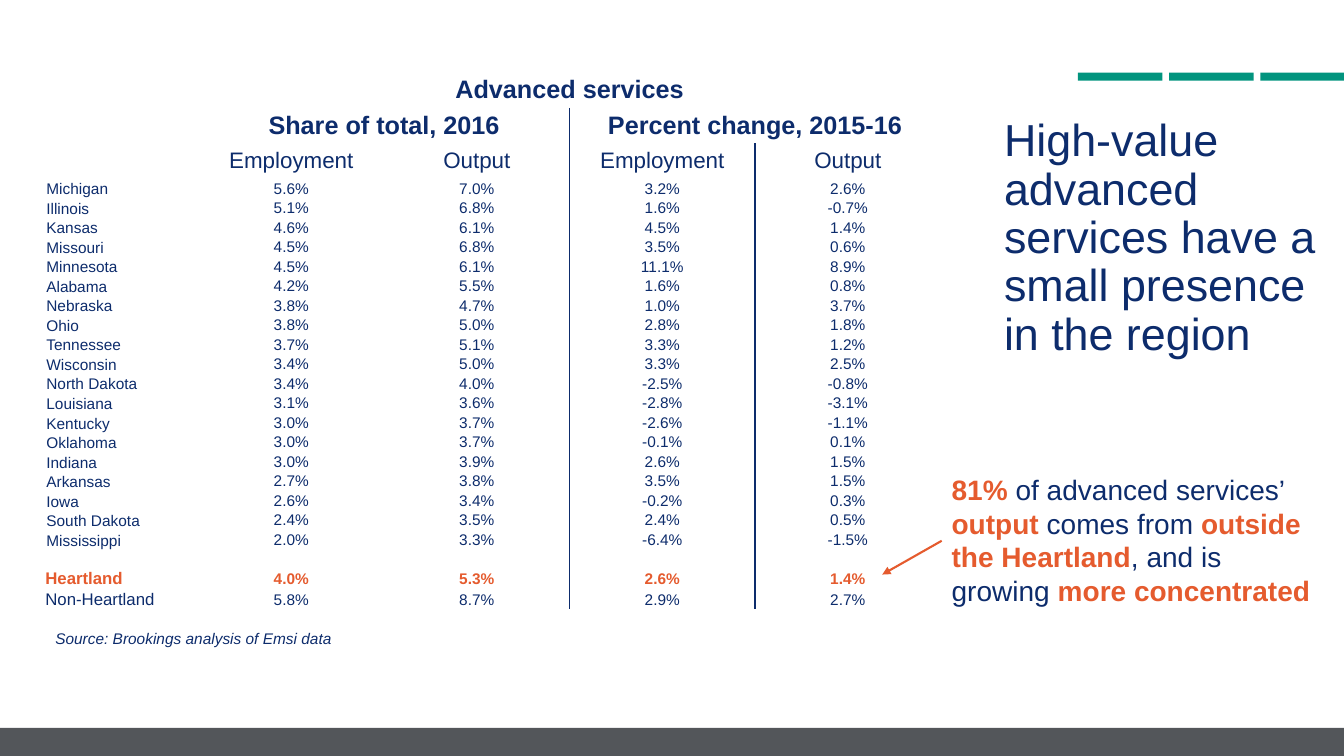
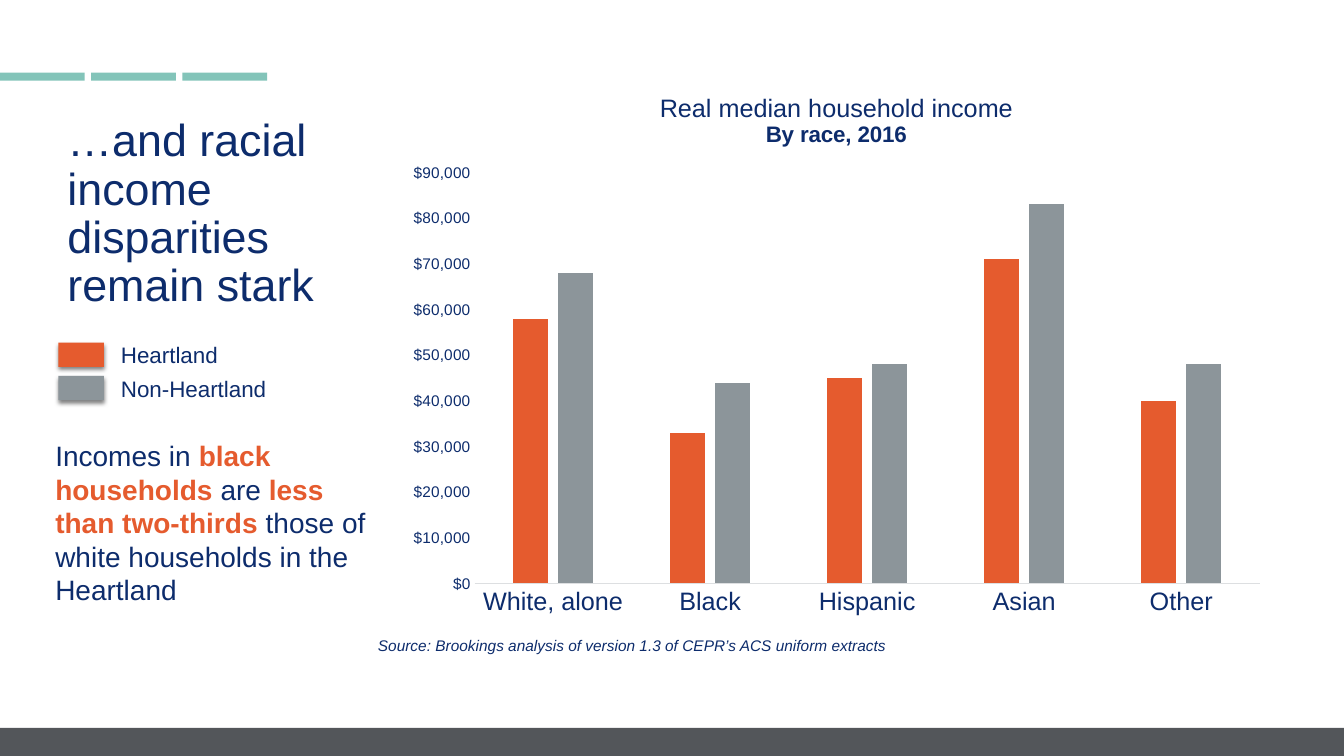
from dataclasses import dataclass

from lxml import etree
from pptx import Presentation
from pptx.chart.data import CategoryChartData
from pptx.dml.color import RGBColor
from pptx.enum.chart import XL_CHART_TYPE as ChartType, XL_TICK_MARK as Tick
from pptx.enum.shapes import MSO_CONNECTOR as Connector, MSO_SHAPE as Shape
from pptx.enum.text import MSO_ANCHOR as Anchor, PP_ALIGN as Align
from pptx.oxml import parse_xml
from pptx.oxml.ns import nsdecls, qn
from pptx.util import Inches, Pt


@dataclass(frozen=True)
class Theme:
    """Colours, font and type sizes shared by the slides."""
    font: str = "Arial"
    navy: str = "0D2C6C"
    orange: str = "E55B2E"
    gray: str = "8C959A"
    footer: str = "53565A"
    green: str = "02947E"
    mint: str = "83C4B9"
    axis: str = "DDDFE1"
    title: int = 32
    callout: int = 20
    heading: int = 18
    subheading: int = 16
    row_label: int = 12
    small: int = 11


THEME = Theme()
NO_TABLE_STYLE = "{2D5ABB26-0587-4C30-8999-92F81FD0307C}"

STATES = [
    ("Michigan", "5.6%", "7.0%", "3.2%", "2.6%"),
    ("Illinois", "5.1%", "6.8%", "1.6%", "-0.7%"),
    ("Kansas", "4.6%", "6.1%", "4.5%", "1.4%"),
    ("Missouri", "4.5%", "6.8%", "3.5%", "0.6%"),
    ("Minnesota", "4.5%", "6.1%", "11.1%", "8.9%"),
    ("Alabama", "4.2%", "5.5%", "1.6%", "0.8%"),
    ("Nebraska", "3.8%", "4.7%", "1.0%", "3.7%"),
    ("Ohio", "3.8%", "5.0%", "2.8%", "1.8%"),
    ("Tennessee", "3.7%", "5.1%", "3.3%", "1.2%"),
    ("Wisconsin", "3.4%", "5.0%", "3.3%", "2.5%"),
    ("North Dakota", "3.4%", "4.0%", "-2.5%", "-0.8%"),
    ("Louisiana", "3.1%", "3.6%", "-2.8%", "-3.1%"),
    ("Kentucky", "3.0%", "3.7%", "-2.6%", "-1.1%"),
    ("Oklahoma", "3.0%", "3.7%", "-0.1%", "0.1%"),
    ("Indiana", "3.0%", "3.9%", "2.6%", "1.5%"),
    ("Arkansas", "2.7%", "3.8%", "3.5%", "1.5%"),
    ("Iowa", "2.6%", "3.4%", "-0.2%", "0.3%"),
    ("South Dakota", "2.4%", "3.5%", "2.4%", "0.5%"),
    ("Mississippi", "2.0%", "3.3%", "-6.4%", "-1.5%"),
]
REGIONS = [
    ("Heartland", "4.0%", "5.3%", "2.6%", "1.4%"),
    ("Non-Heartland", "5.8%", "8.7%", "2.9%", "2.7%"),
]
HEADINGS = [
    ("", "Advanced services", "", "", ""),
    ("", "Share of total, 2016", "", "Percent change, 2015-16", ""),
    ("", "Employment", "Output", "Employment", "Output"),
]
INCOME_GROUPS = ["White, alone", "Black", "Hispanic", "Asian", "Other"]
INCOMES = [
    ("Heartland", THEME.orange, (58000, 33000, 45000, 71000, 40000)),
    ("Non-Heartland", THEME.gray, (68000, 44000, 48000, 83000, 48000)),
]


def style_font(font, size, color=THEME.navy, bold=False, italic=False):
    """Apply the theme font with the given size, colour and weight."""
    font.name, font.size = THEME.font, Pt(size)
    font.bold, font.italic = bold, italic
    font.color.rgb = RGBColor.from_string(color)


def add_run(paragraph, text, size, color=THEME.navy, bold=False, italic=False):
    """Append one styled run."""
    run = paragraph.add_run()
    run.text = text
    style_font(run.font, size, color, bold, italic)


def add_textbox(shapes, left, top, width, height):
    """Add a wrapping text box."""
    box = shapes.add_textbox(Inches(left), Inches(top), Inches(width), Inches(height))
    box.text_frame.word_wrap = True
    return box


def add_block(shapes, left, top, width, height, color):
    """Add a plain filled rectangle."""
    block = shapes.add_shape(Shape.RECTANGLE, Inches(left), Inches(top),
                             Inches(width), Inches(height))
    block.fill.solid()
    block.fill.fore_color.rgb = RGBColor.from_string(color)
    block.line.fill.background()
    block.shadow.inherit = False
    return block


def add_framed_slide(prs, title, title_left, strips_left, strips_color):
    """Add a slide with its footer band, accent strips and title."""
    slide = prs.slides.add_slide(prs.slide_layouts[6])
    add_block(slide.shapes, 0, 7.22, 13.33, 0.28, THEME.footer)
    strips = slide.shapes.add_group_shape().shapes
    for i in range(3):
        add_block(strips, strips_left + i * 1.81 / 2, 0.72, 0.84, 0.08, strips_color)
    heading = add_textbox(slide.shapes, title_left, 1.12, 3.35, 2.52)
    paragraph = heading.text_frame.paragraphs[0]
    paragraph.line_spacing = 0.9
    add_run(paragraph, title, THEME.title)
    return slide


def add_source(slide, left, top, text):
    """Add an italic source line."""
    source = add_textbox(slide.shapes, left, top, 6.79, 0.29)
    add_run(source.text_frame.paragraphs[0], text, THEME.small, italic=True)


def add_callout(slide, left, top, width, height, phrases):
    """Add a callout whose odd phrases are stressed in orange."""
    callout = add_textbox(slide.shapes, left, top, width, height)
    for text, stressed in phrases:
        add_run(callout.text_frame.paragraphs[0], text, THEME.callout,
                THEME.orange if stressed else THEME.navy, stressed)
    return callout


def add_arrow(slide, callout, end_left, end_top):
    """Draw an arrow from the left side of a callout."""
    arrow = slide.shapes.add_connector(Connector.STRAIGHT, callout.left, callout.top,
                                       Inches(end_left), Inches(end_top))
    arrow.begin_connect(callout, 1)
    arrow.line.width = Pt(1.5)
    arrow.line.color.rgb = RGBColor.from_string(THEME.orange)
    etree.SubElement(arrow.line._get_or_add_ln(), qn("a:tailEnd"), type="triangle")
    etree.SubElement(arrow._element.spPr, qn("a:effectLst"))


def fill_cell(cell, text, size, color=THEME.navy, bold=False, align=Align.CENTER,
              anchor=Anchor.MIDDLE, inset=0.01):
    """Write one unfilled table cell."""
    cell.fill.background()
    cell.margin_left = cell.margin_right = cell.margin_top = Inches(inset)
    cell.margin_bottom = 0
    cell.vertical_anchor = anchor
    paragraph = cell.text_frame.paragraphs[0]
    paragraph.alignment = align
    if text:
        add_run(paragraph, text, size, color, bold)
    else:
        etree.SubElement(paragraph._p, qn("a:endParaRPr"), sz=str(size * 100))


def add_divider(cell):
    """Draw a navy line on the left edge of a cell."""
    cell._tc.get_or_add_tcPr().insert(0, parse_xml(
        f'<a:lnL {nsdecls("a")} w="12700"><a:solidFill><a:srgbClr val="{THEME.navy}"/>'
        '</a:solidFill></a:lnL>'))


def add_services_table(slide):
    """Add the table of advanced services by state and region."""
    rows = HEADINGS + STATES + [("",) * 5] + REGIONS
    header_height, body_height = 0.35, 4.21 / (len(rows) - len(HEADINGS))
    table = slide.shapes.add_table(len(rows), 5, Inches(0.45), Inches(0.72),
                                   Inches(8.88), Inches(5.26)).table
    table.first_row = table.horz_banding = False
    table._tbl.tblPr.find(qn("a:tableStyleId")).text = NO_TABLE_STYLE
    for column, width in zip(table.columns, [1.52] + [1.84] * 4):
        column.width = Inches(width)
    for r, values in enumerate(rows):
        is_header = r < len(HEADINGS)
        table.rows[r].height = Inches(header_height if is_header else body_height)
        is_heartland = values[0] == "Heartland"
        is_region = values in REGIONS
        color = THEME.orange if is_heartland else THEME.navy
        for c, text in enumerate(values):
            cell = table.cell(r, c)
            if is_header:
                size = THEME.subheading if r == 2 else THEME.heading
                fill_cell(cell, text, size, bold=r < 2, inset=0)
            elif c == 0:
                fill_cell(cell, text, THEME.row_label if is_region else THEME.small,
                          color, is_heartland, Align.LEFT,
                          Anchor.MIDDLE if is_region else Anchor.BOTTOM,
                          0 if is_region else 0.01)
            else:
                fill_cell(cell, text, THEME.small, color, is_heartland)
        if r > 0:
            add_divider(table.cell(r, 3))
    for r, first, last in [(0, 1, 4), (1, 1, 2), (1, 3, 4)]:
        table.cell(r, first).merge(table.cell(r, last))


def add_legend(slide):
    """Add the shadowed colour keys and their labels."""
    legend = slide.shapes.add_group_shape().shapes
    for i, (name, color, _) in enumerate(INCOMES):
        offset = i * 0.33
        key = add_block(legend, 0.58, 3.4 + offset, 0.45, 0.24, color)
        key._element.spPr.find(qn("a:effectLst")).append(parse_xml(
            f'<a:outerShdw {nsdecls("a")} blurRad="38100" dist="25400" dir="5400000">'
            '<a:srgbClr val="000000"><a:alpha val="50000"/></a:srgbClr></a:outerShdw>'))
        frame = add_textbox(legend, 1.14, 3.33 + offset, 2.5, 0.38).text_frame
        frame.margin_left = frame.margin_right = Inches(0.06)
        frame.margin_top = frame.margin_bottom = Inches(0.06)
        frame.vertical_anchor = Anchor.MIDDLE
        add_run(frame.paragraphs[0], name, THEME.subheading)


def set_plot_layout(chart, x, y, w, h):
    """Fix the inner plot area as fractions of the chart."""
    plot_area = chart._chartSpace.chart.plotArea
    for old in plot_area.findall(qn("c:layout")):
        plot_area.remove(old)
    sizes = "".join(f'<c:{tag} val="{value}"/>'
                    for tag, value in zip("xywh", (x, y, w, h)))
    plot_area.insert(0, parse_xml(
        f'<c:layout {nsdecls("c")}><c:manualLayout><c:layoutTarget val="inner"/>'
        f'<c:xMode val="edge"/><c:yMode val="edge"/>{sizes}</c:manualLayout></c:layout>'))


def add_income_chart(slide):
    """Add the column chart of household income by race."""
    income = CategoryChartData(number_format='"$"#,##0')
    income.categories = INCOME_GROUPS
    for name, _, values in INCOMES:
        income.add_series(name, values)
    chart = slide.shapes.add_chart(ChartType.COLUMN_CLUSTERED, Inches(3.92), Inches(0.72),
                                   Inches(8.75), Inches(5.51), income).chart
    style_font(chart.font, THEME.small)
    chart.has_legend = False
    title = chart.chart_title.text_frame
    add_run(title.paragraphs[0], "Real median household income", THEME.heading)
    add_run(title.add_paragraph(), "By race, 2016", THEME.subheading, bold=True)
    chart.chart_title.include_in_layout = False
    set_plot_layout(chart, 0.09, 0.18, 0.89, 0.74)

    plot = chart.plots[0]
    plot.gap_width, plot.overlap = 219, -27
    plot.vary_by_categories = False
    for series, (_, color, _) in zip(plot.series, INCOMES):
        series.format.fill.solid()
        series.format.fill.fore_color.rgb = RGBColor.from_string(color)

    groups, dollars = chart.category_axis, chart.value_axis
    for axis, size in [(groups, THEME.heading), (dollars, THEME.small)]:
        axis.major_tick_mark = axis.minor_tick_mark = Tick.NONE
        axis.has_major_gridlines = False
        style_font(axis.tick_labels.font, size)
    groups.format.line.width = Pt(0.75)
    groups.format.line.color.rgb = RGBColor.from_string(THEME.axis)
    dollars.format.line.fill.background()
    dollars.minimum_scale, dollars.maximum_scale, dollars.major_unit = 0, 90000, 10000
    dollars.tick_labels.number_format = '"$"#,##0'
    dollars.tick_labels.number_format_is_linked = False


def build_services_slide(prs):
    """Build the slide on advanced services."""
    slide = add_framed_slide(
        prs, "High-value advanced services have a small presence in the region",
        9.86, 10.69, THEME.green)
    add_services_table(slide)
    add_source(slide, 0.45, 6.19, "Source: Brookings analysis of Emsi data")
    callout = add_callout(slide, 9.34, 4.64, 3.81, 1.45, [
        ("81% ", True), ("of advanced services’ ", False), ("output", True),
        (" comes from ", False), ("outside the Heartland", True),
        (", and is growing ", False), ("more concentrated", True)])
    add_arrow(slide, callout, 8.75, 5.7)


def build_income_slide(prs):
    """Build the slide on racial income disparities."""
    slide = add_framed_slide(prs, "…and racial income disparities remain stark",
                             0.57, 0, THEME.mint)
    add_source(slide, 3.65, 6.26,
               "Source: Brookings analysis of version 1.3 of CEPR’s ACS uniform extracts")
    add_income_chart(slide)
    add_legend(slide)
    add_callout(slide, 0.45, 4.3, 3.46, 1.78, [
        ("Incomes in ", False), ("black households ", True), ("are ", False),
        ("less than two-thirds", True),
        (" those of white households in the Heartland", False)])


def main():
    """Build and save the presentation."""
    prs = Presentation()
    prs.slide_width, prs.slide_height = Inches(13.33), Inches(7.5)
    build_services_slide(prs)
    build_income_slide(prs)
    prs.save("out.pptx")


if __name__ == "__main__":
    main()
